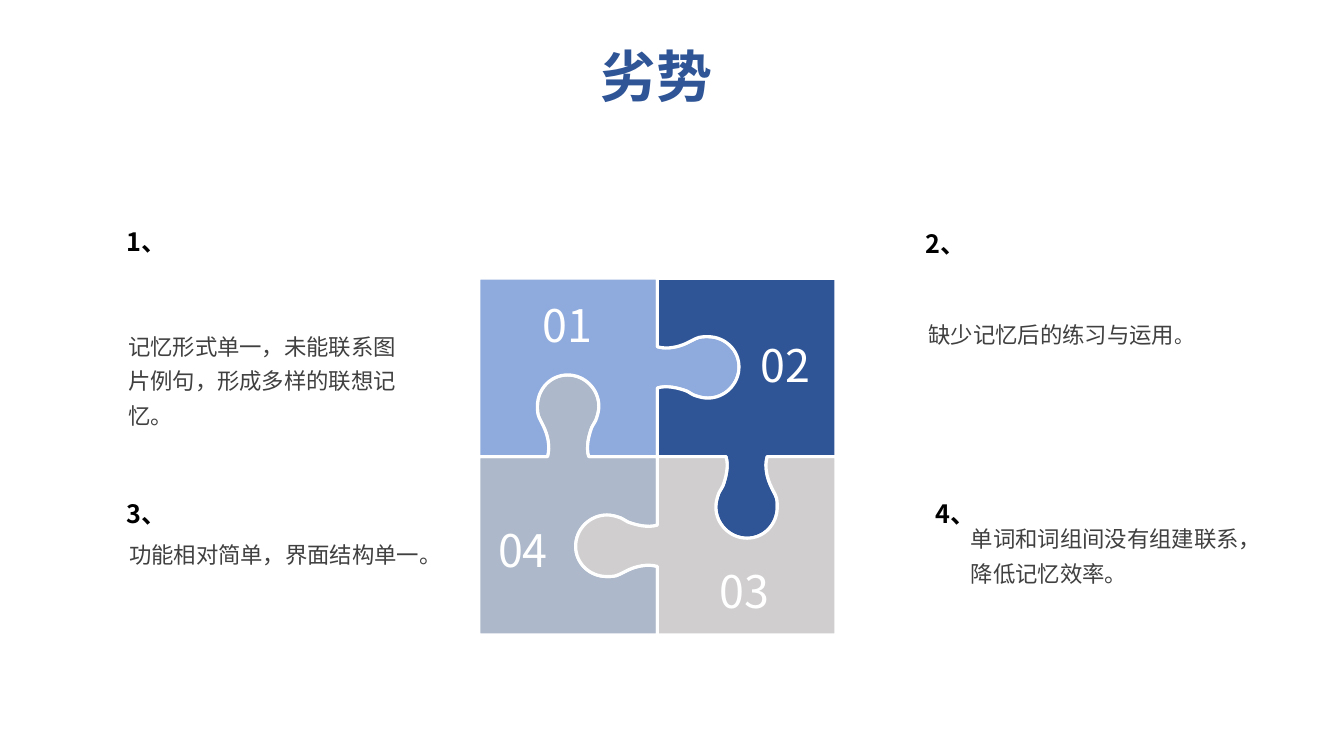
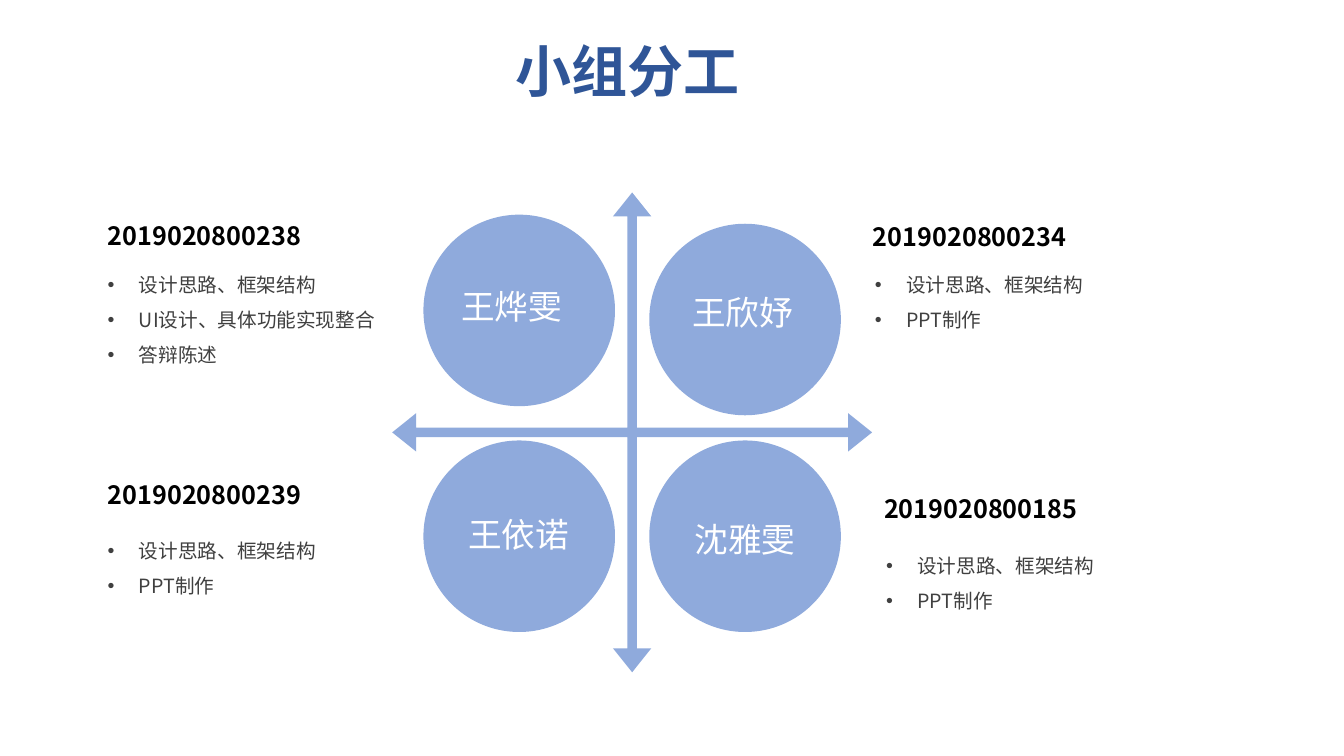
from lxml import etree
from pptx import Presentation
from pptx.dml import color as col
from pptx.enum import shapes as kind, text as txt
from pptx.oxml import ns
from pptx.util import Emu

FONT = "Noto Sans CJK SC"
NAVY, BLUE, SLATE, GREY = "2F5597", "8FAADC", "ADB9CA", "D0CECE"
WHITE, BLACK, INK = "FFFFFF", "000000", "404040"
LEFT, MID, JUST = txt.PP_ALIGN.LEFT, txt.PP_ALIGN.CENTER, txt.PP_ALIGN.JUSTIFY
TOP, HALF = txt.MSO_ANCHOR.TOP, txt.MSO_ANCHOR.MIDDLE
PT = 12700
SIDES = ("left", "top", "width", "height")
PADS = ("margin_left", "margin_top", "margin_right", "margin_bottom")
PAD = (10, 5, 10, 5)
WIDE = (13, 7, 13, 7)

TITLE = dict(size=40, color=NAVY, bold=True)
HEAD = dict(size=18, color=BLACK, bold=True)
BODY = dict(size=16, color=INK)
TASK = dict(size=14, color=INK)
NAME = dict(size=24, color=WHITE)
MARK = dict(size=32, color=WHITE)

KNOB = [
    (68, 0), (71, 9), (68, 21), (65, 29), (63, 33), (61, 35), (60, 39),
    (59, 42), (58, 46), (58, 50), (58, 67), (72, 81), (89, 81),
    (106, 81), (119, 67), (119, 50), (119, 46), (119, 42), (117, 38),
    (116, 35), (114, 33), (113, 30), (109, 22), (106, 10), (109, 0),
]


def px(n):
    return Emu(round(n * 9144))


def rgb(code):
    return col.RGBColor.from_string(code)


def apply(item, vals):
    for key, val in vals.items():
        setattr(item, key, val)


def place(box):
    return [px(n) for n in box]


def write(para, words, size, color, bold=False):
    run = para.add_run()
    run.text = words
    apply(run.font, dict(name=FONT, size=Emu(size * PT), bold=bold))
    run.font.color.rgb = rgb(color)
    east = etree.SubElement(run.font._element, ns.qn("a:ea"))
    east.set("typeface", FONT)


def bullet(para):
    prop = para._p.get_or_add_pPr()
    prop.set("marL", str(px(31)))
    prop.set("indent", str(px(-31)))
    etree.SubElement(prop, ns.qn("a:buFont")).set("typeface", "Arial")
    etree.SubElement(prop, ns.qn("a:buChar")).set("char", "•")


def fill_text(frame, lines, style, align=LEFT, anchor=TOP, gap=1.0,
              pads=PAD, dots=False):
    apply(frame, dict(word_wrap=True, auto_size=txt.MSO_AUTO_SIZE.NONE,
                      vertical_anchor=anchor))
    apply(frame, dict(zip(PADS, place(pads))))
    for i, line in enumerate(lines):
        para = frame.add_paragraph() if i else frame.paragraphs[0]
        if dots:
            bullet(para)
        apply(para, dict(alignment=align, line_spacing=gap))
        write(para, line, **style)
    return frame


def label(slide, box, lines, style, **opts):
    frame = slide.shapes.add_textbox(*place(box)).text_frame
    return fill_text(frame, lines, style, **opts)


def paint(shape, color, edge=None):
    shape.shadow.inherit = False
    shape.fill.solid()
    shape.fill.fore_color.rgb = rgb(color)
    if edge:
        shape.line.color.rgb = rgb(edge)
        shape.line.width = Emu(round(2.25 * PT))
    else:
        shape.line.fill.background()


def start(deck, title, x, y):
    slide = deck.slides.add_slide(deck.slide_layouts[5])
    head = slide.shapes.title
    apply(head, dict(zip(SIDES, place((x, y, 1333, 77)))))
    fill_text(head.text_frame, [title], TITLE, align=MID)
    return slide


def turn(pts, times):
    for _ in range(times % 4):
        pts = [(-y, x) for x, y in pts]
    return pts


def bend(shape, first):
    lines = list(shape._element.iter(ns.qn("a:lnTo")))[first:first + len(KNOB) - 1]
    for i in range(0, len(lines), 3):
        arc = etree.Element(ns.qn("a:cubicBezTo"))
        lines[i].addprevious(arc)
        for line in lines[i:i + 3]:
            arc.append(line[0])
            line.getparent().remove(line)


def puzzle(slide, box):
    x, y, side = box
    half = side / 2
    seam = [(0, 0)] + KNOB + [(half, 0)]
    piece = seam + [(half, -half)] + turn(seam, 3)[:0:-1]
    parts = [
        (2, "04", SLATE, (19, 147)),
        (3, "01", BLUE, (63, 19)),
        (0, "02", NAVY, (102, 59)),
        (1, "03", GREY, (143, 106)),
    ]
    for times, mark, color, pad in parts:
        pts = [place((x + half + a, y + half + b)) for a, b in turn(piece, times)]
        pen = slide.shapes.build_freeform(*pts[0], scale=1.0)
        pen.add_line_segments(pts[1:], close=True)
        shape = pen.convert_to_shape()
        for first in (len(seam) + 2, 1):
            bend(shape, first)
        paint(shape, color, WHITE)
        fill_text(shape.text_frame, [mark], MARK, pads=pad + PAD[2:])


def point(slide, spot, mark, shift, size, words, tail=""):
    x, y = spot
    label(slide, (x, y, 141, 31), [mark], HEAD, align=JUST, anchor=HALF, gap=1.2)
    box = (x + shift[0], y + shift[1], *size)
    frame = label(slide, box, [words], BODY, gap=1.3, pads=WIDE)
    if tail:
        write(frame.paragraphs[0], tail, **TASK)


def member(slide, spot, code, shift, wide, tasks):
    x, y = spot
    box = (x + shift[0], y + shift[1], wide, 7 + 35 * len(tasks))
    label(slide, box, tasks, TASK, gap=1.5, dots=True)
    label(slide, (x, y, 301, 45), [code], HEAD, align=JUST, gap=1.2)


def cross(slide, box):
    x, y, side = box
    arrow = slide.shapes.add_shape(kind.MSO_SHAPE.QUAD_ARROW,
                                   *place((x, y, side, side)))
    for i, val in enumerate((0.02, 0.04, 0.05)):
        arrow.adjustments[i] = val
    paint(arrow, BLUE)
    for a, b in ((31, 22), (255, 31), (31, 246), (255, 246)):
        disc = slide.shapes.add_shape(kind.MSO_SHAPE.OVAL,
                                      *place((x + a, y + b, 190, 190)))
        paint(disc, BLUE)
    people = [
        ("王烨雯", (46, 88, 145)),
        ("王欣妤", (280, 94, 135)),
        ("王依诺", (64, 314, 123)),
        ("沈雅雯", (285, 319, 130)),
    ]
    for name, (a, b, wide) in people:
        label(slide, (x + a, y + b, wide, 50), [name], NAME, align=MID, anchor=HALF)


def flaws(deck):
    slide = start(deck, "劣势", -15, 36)
    puzzle(slide, (475, 276, 354))
    point(slide, (116, 221), "1、", (-2, 94), (301, 115),
          "记忆形式单一，未能联系图片例句，形成多样的联想记忆。")
    point(slide, (908, 223), "2、", (0, 81), (301, 45),
          "缺少记忆后的练习与运用", "。")
    point(slide, (116, 491), "3、", (-1, 31), (329, 45),
          "功能相对简单，界面结构单一。")
    point(slide, (918, 491), "4、", (32, 15), (301, 80),
          "单词和词组间没有组建联系，降低记忆效率。")


def team(deck):
    slide = start(deck, "小组分工", -44, 31)
    plan, make = "设计思路、框架结构", "PPT制作"
    member(slide, (97, 208), "2019020800238", (0, 46), 316,
           [plan, "UI设计、具体功能实现整合", "答辩陈述"])
    member(slide, (97, 465), "2019020800239", (0, 53), 318, [plan, make])
    member(slide, (867, 478), "2019020800185", (2, 55), 323, [plan, make])
    member(slide, (856, 209), "2019020800234", (2, 45), 323, [plan, make])
    cross(slide, (389, 191, 476))


def main():
    deck = Presentation()
    apply(deck, dict(slide_width=px(1333), slide_height=px(750)))
    flaws(deck)
    team(deck)
    deck.save("out.pptx")


if __name__ == "__main__":
    main()
